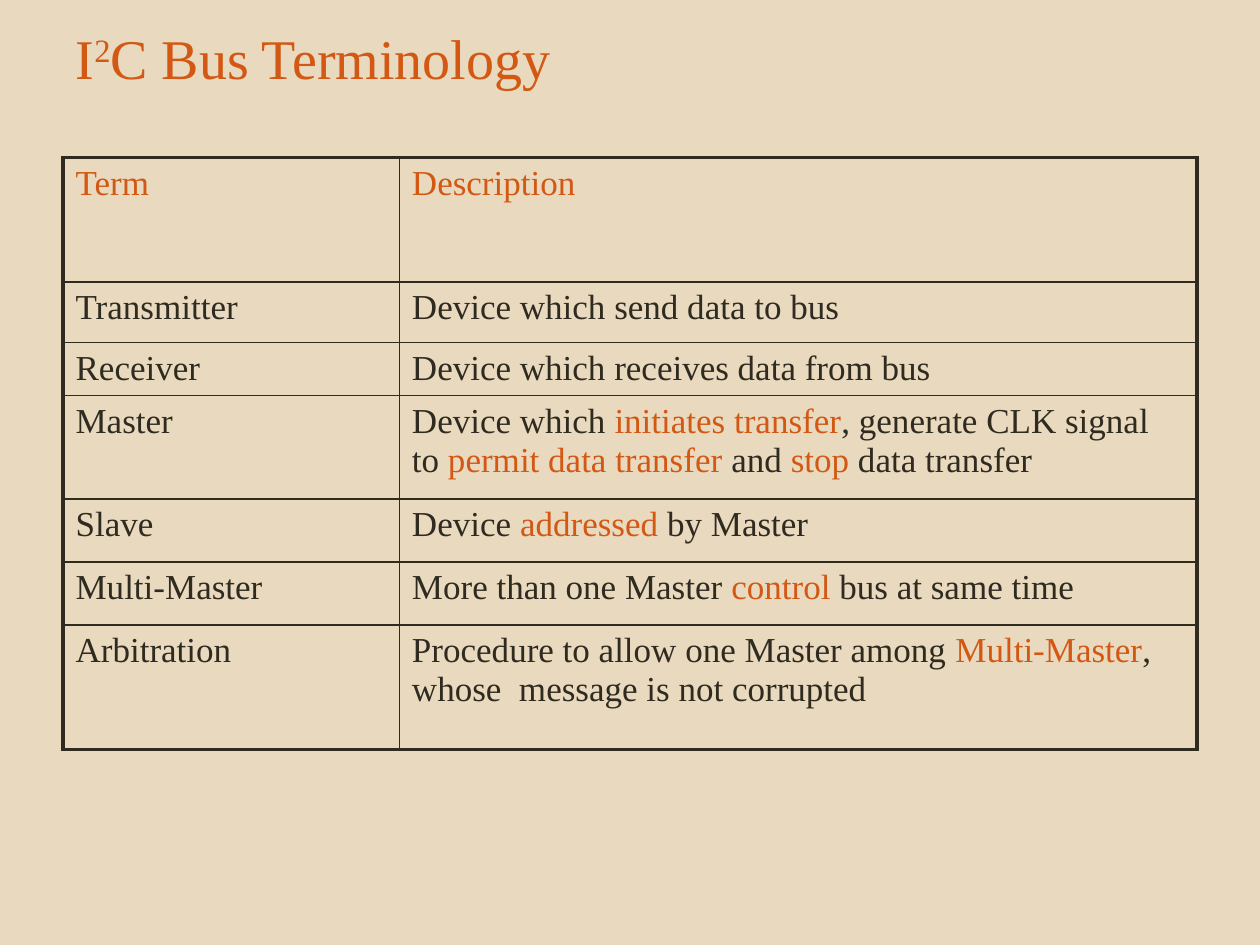
"""Build the slide of I²C bus terms."""
from lxml import etree
from pptx import Presentation
from pptx.dml.color import RGBColor
from pptx.enum.text import MSO_ANCHOR, PP_ALIGN
from pptx.oxml.ns import qn
from pptx.util import Inches, Pt

MIDDLE, LEFT = MSO_ANCHOR.MIDDLE, PP_ALIGN.LEFT
FONT, SAND, DARK, RUST = "Times New Roman", "E9D9BE", "2F2B20", "D25814"
WIDE, HIGH, EDGE = 10, 7.5, 0.5
COLS = [2.67, 6.33]
THICK, THIN = 2.25, 1

TITLE = ["I", "2", "C Bus Terminology"]
HEAD = ("Term", ["Description"])
# Odd runs of a description are key words.
TERMS = [
    ("Transmitter", ["Device which send data to bus"]),
    ("Receiver", ["Device which receives data from bus"]),
    ("Master", ["Device which ", "initiates transfer", ", generate CLK signal to",
                " permit data transfer", " and ", "stop", " data transfer"]),
    ("Slave", ["Device ", "addressed", " by Master"]),
    ("Multi-Master", ["More than one Master ", "control", " bus at same time"]),
    ("Arbitration", ["Procedure to allow one Master among ", "Multi-Master",
                     ", whose  message is not corrupted"]),
]
ROWS = [0.99, 0.48, 0.42, 0.82, 0.5, 0.5, 0.99]


def paint(hue):
    """Turn a hex string into a colour."""
    return RGBColor.from_string(hue)


def write(para, text, size, hue):
    """Add one run and return it."""
    run = para.add_run()
    run.text = text
    run.font.name, run.font.size = FONT, Pt(size)
    run.font.color.rgb = paint(hue)
    return run


def border(cell, sides):
    """Draw the sides of a cell, given as widths by tag."""
    props = cell._tc.get_or_add_tcPr()
    for spot, (tag, width) in enumerate(sides.items()):
        line = etree.Element(qn("a:" + tag), w=str(Pt(width)))
        fill = etree.SubElement(line, qn("a:solidFill"))
        etree.SubElement(fill, qn("a:srgbClr"), val=DARK)
        props.insert(spot, line)


def add_title(slide):
    """Fill the title, with a raised digit."""
    title = slide.shapes.title
    title.left, title.top = Inches(EDGE), Inches(-0.17)
    title.width, title.height = Inches(WIDE - 2 * EDGE), Inches(1.25)
    frame = title.text_frame
    frame.vertical_anchor = MIDDLE
    para = frame.paragraphs[0]
    para.alignment = LEFT
    for text in TITLE:
        run = write(para, text, 32, RUST)
        if text.isdigit():
            run.font._element.set("baseline", "30000")


def add_terms(slide):
    """Add the table of terms."""
    lines = [HEAD] + TERMS
    table = slide.shapes.add_table(
        len(lines), len(COLS), Inches(EDGE), Inches(1.25),
        Inches(sum(COLS)), Inches(sum(ROWS))).table
    table.first_row = table.horz_banding = False
    for col, width in zip(table.columns, COLS):
        col.width = Inches(width)
    for r, (term, parts) in enumerate(lines):
        table.rows[r].height = Inches(ROWS[r])
        for c, runs in enumerate([[term], parts]):
            cell = table.cell(r, c)
            cell.fill.background()
            para = cell.text_frame.paragraphs[0]
            for i, text in enumerate(runs):
                write(para, text, 20, RUST if r == 0 or i % 2 else DARK)
            outer = {"lnL": c == 0, "lnR": c == len(COLS) - 1,
                     "lnT": r == 0, "lnB": r == len(lines) - 1}
            border(cell, {tag: THICK if out else THIN
                          for tag, out in outer.items()})


def main():
    """Build and save the slide."""
    deck = Presentation()
    deck.slide_width, deck.slide_height = Inches(WIDE), Inches(HIGH)
    slide = deck.slides.add_slide(deck.slide_layouts[5])
    back = slide.background.fill
    back.solid()
    back.fore_color.rgb = paint(SAND)
    add_title(slide)
    add_terms(slide)
    deck.save("out.pptx")


if __name__ == "__main__":
    main()
